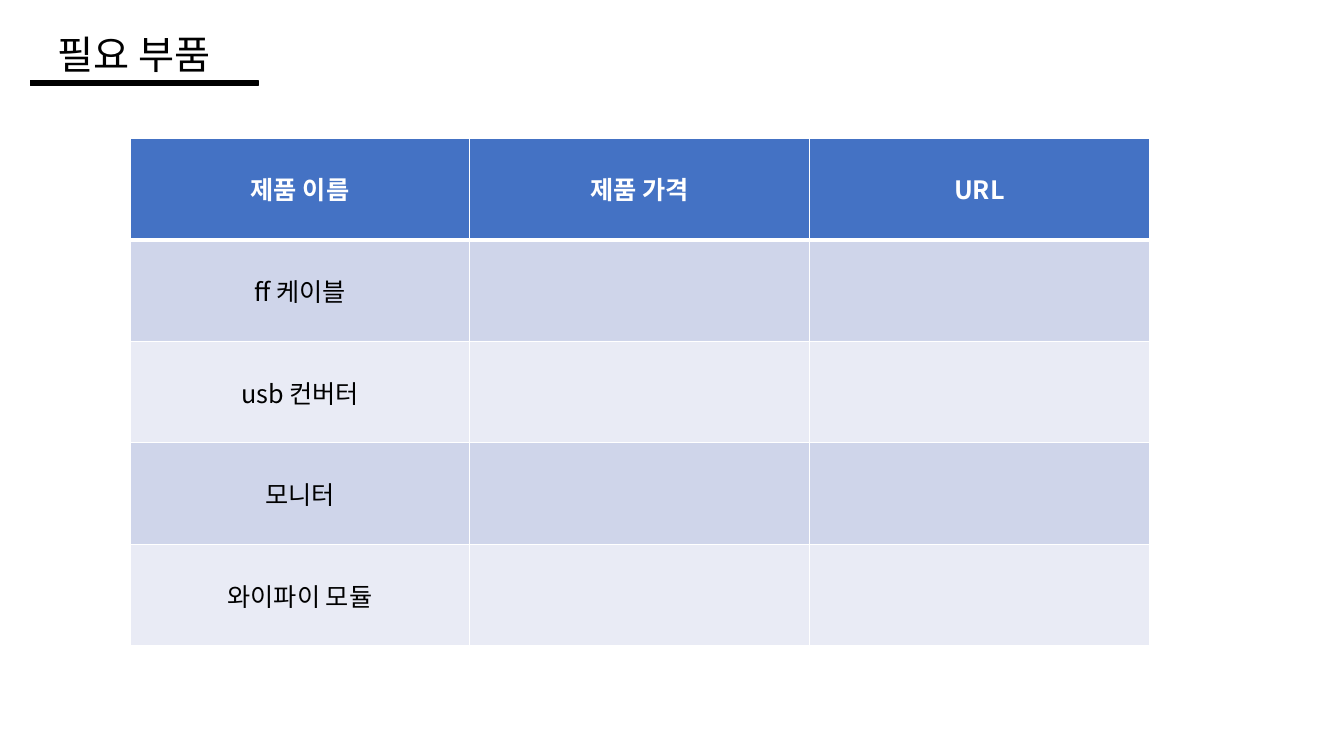
"""Builds the slide listing the required parts."""
from dataclasses import dataclass

from lxml import etree
from pptx import Presentation
from pptx import util as u
from pptx.dml.color import RGBColor
from pptx.enum import shapes, text
from pptx.oxml.ns import qn


@dataclass(frozen=True)
class Theme:
    """Colours, font and sizes of the slide."""
    font: str = "Noto Sans CJK KR"
    ink: str = "000000"
    paper: str = "FFFFFF"
    header: str = "4472C4"
    bands: tuple = ("CFD5EA", "E9EBF5")
    title_size: int = 28
    table_size: int = 18
    thin: int = 1
    thick: int = 3


class Board:
    """Holds the theme and the current slide; places are percent of the slide."""

    def __init__(self, deck, theme):
        """Add a blank slide to the deck."""
        self.deck, self.theme = deck, theme
        self.slide = deck.slides.add_slide(deck.slide_layouts[6])

    def place(self, left, top, width, height):
        """Turn percentages into slide lengths."""
        across, down = self.deck.slide_width, self.deck.slide_height
        return [round(share * full / 100) for share, full in
                zip((left, top, width, height), (across, down, across, down))]

    def add_words(self, paragraph, words, size, colour, bold=False):
        """Add one styled run to a paragraph."""
        run = paragraph.add_run()
        run.text = words
        run.font.size, run.font.bold = u.Pt(size), bold
        run.font.name = self.theme.font
        run.font.color.rgb = RGBColor.from_string(colour)
        etree.SubElement(run._r.get_or_add_rPr(), qn("a:ea"),
                         typeface=self.theme.font)

    def title(self, words, *box):
        """Add the slide heading."""
        frame = self.slide.shapes.add_textbox(*self.place(*box)).text_frame
        frame.word_wrap = True
        frame.auto_size = text.MSO_AUTO_SIZE.SHAPE_TO_FIT_TEXT
        self.add_words(frame.paragraphs[0], words,
                       self.theme.title_size, self.theme.ink)

    def bar(self, *box):
        """Add a solid bar."""
        bar = self.slide.shapes.add_shape(
            shapes.MSO_SHAPE.RECTANGLE, *self.place(*box))
        ink = RGBColor.from_string(self.theme.ink)
        bar.shadow.inherit = False
        bar.fill.solid()
        bar.fill.fore_color.rgb = bar.line.color.rgb = ink
        bar.line.width = u.Pt(self.theme.thin)

    def borders(self, cell, top, bottom):
        """Draw the four cell borders, ahead of the cell's fill."""
        widths = {"L": self.theme.thin, "R": self.theme.thin, "T": top, "B": bottom}
        properties = cell._tc.get_or_add_tcPr()
        for index, (side, width) in enumerate(widths.items()):
            line = etree.Element(qn(f"a:ln{side}"), w=str(int(u.Pt(width))))
            fill = etree.SubElement(line, qn("a:solidFill"))
            etree.SubElement(fill, qn("a:srgbClr"), val=self.theme.paper)
            properties.insert(index, line)

    def table(self, headings, products, *box):
        """Add a banded table with a header and products in the first column."""
        theme = self.theme
        rows = [headings] + [[name] + [""] * (len(headings) - 1) for name in products]
        grid = self.slide.shapes.add_table(
            len(rows), len(headings), *self.place(*box)).table
        for r, row in enumerate(rows):
            is_header = r == 0
            band = theme.header if is_header else theme.bands[(r - 1) % 2]
            top = theme.thick if r == 1 else theme.thin
            bottom = theme.thick if is_header else theme.thin
            for c, words in enumerate(row):
                cell = grid.cell(r, c)
                cell.fill.solid()
                cell.fill.fore_color.rgb = RGBColor.from_string(band)
                cell.vertical_anchor = text.MSO_ANCHOR.MIDDLE
                self.borders(cell, top, bottom)
                paragraph = cell.text_frame.paragraphs[0]
                paragraph.alignment = text.PP_ALIGN.CENTER
                if words:
                    self.add_words(paragraph, words, theme.table_size,
                                   theme.paper if is_header else theme.ink, is_header)


def main():
    """Build and save the slide."""
    deck = Presentation()
    deck.slide_width, deck.slide_height = u.Inches(13.33), u.Inches(7.5)
    board = Board(deck, Theme())
    board.bar(2.25, 10.67, 16.95, 0.67)
    board.title("필요 부품", 3.53, 3.33, 15.68, 7.6)
    board.table(["제품 이름", "제품 가격", "URL"],
                ["ff 케이블", "usb 컨버터", "모니터", "와이파이 모듈"],
                9.68, 18.27, 75.84, 67.2)
    deck.save("out.pptx")


main()
